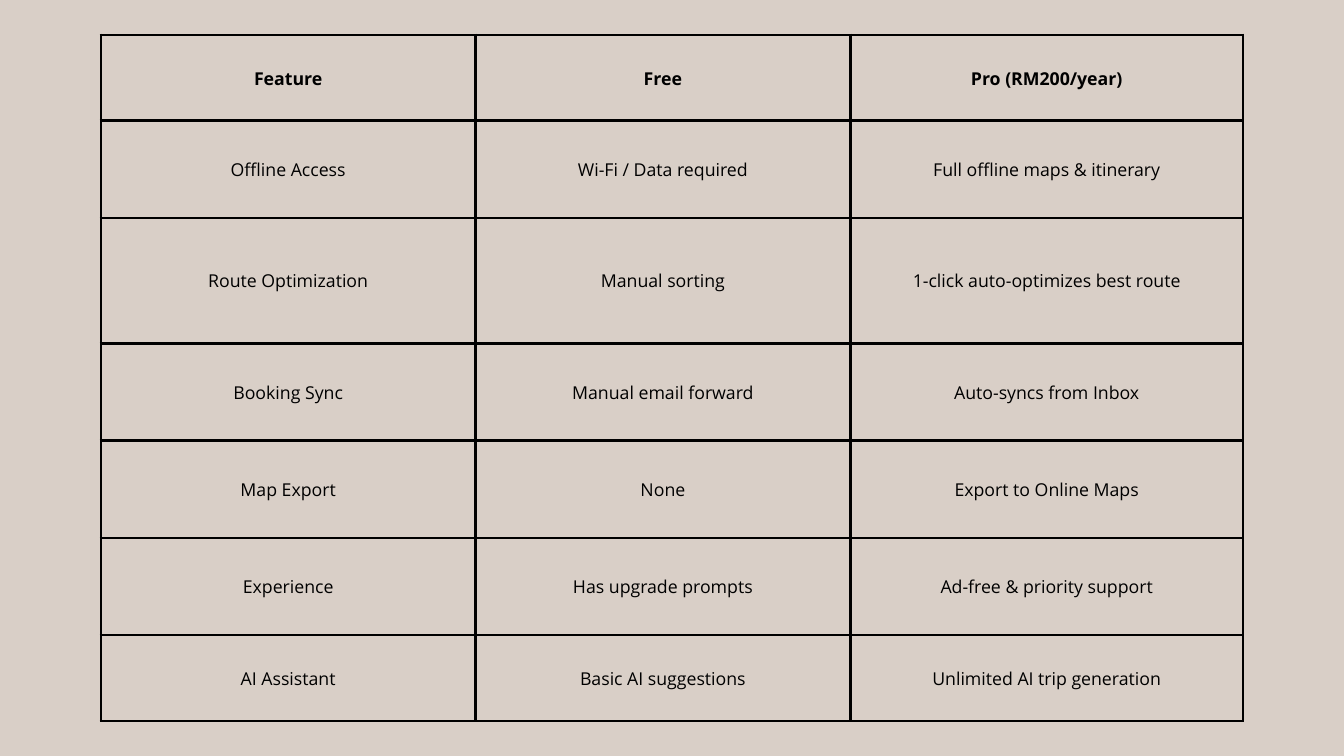
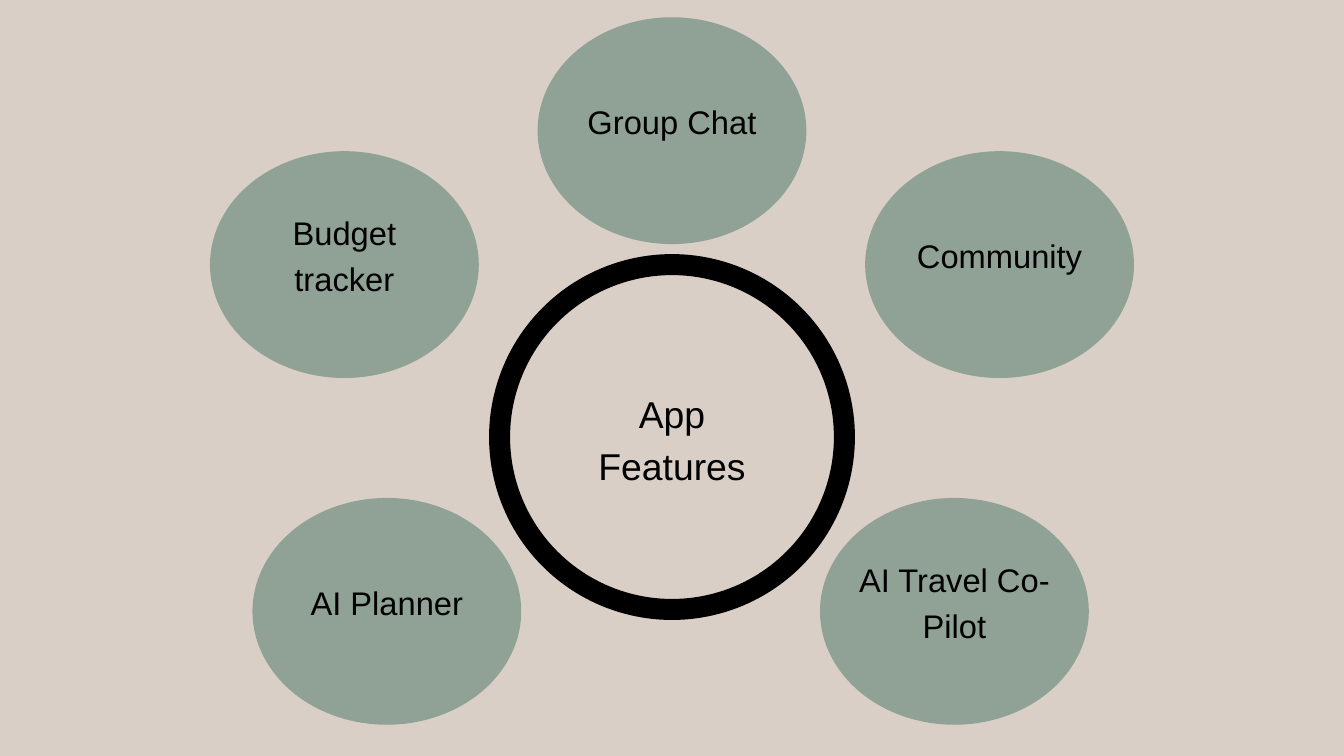
import dataclasses
import typing

import lxml.etree
import pptx
import pptx.dml.color
import pptx.enum.shapes
import pptx.enum.text
import pptx.oxml.ns
import pptx.util

Pt = pptx.util.Pt
MIDDLE = pptx.enum.text.MSO_ANCHOR.MIDDLE

SAND, SAGE, BLACK = "D9CFC7", "90A295", "000000"
PAGE_WIDTH, PAGE_HEIGHT = 1440, 810
CENTRE = PAGE_WIDTH / 2


@dataclasses.dataclass(frozen=True)
class TextStyle:
    font: dict[str, typing.Any]
    line_spacing: float


@dataclasses.dataclass(frozen=True)
class Bubble:
    label: str
    offset: float  # oval centre, measured from the middle of the page
    top: float


HEADER = TextStyle({"name": "Open Sans", "size": Pt(19), "bold": True}, 26.6)
BODY = TextStyle({**HEADER.font, "bold": False}, 26.6)
HUB_TEXT = TextStyle({"name": "Arial", "size": Pt(40)}, 56)
BUBBLE_TEXT = TextStyle({"name": "Arial", "size": Pt(35)}, 49)

PLANS = [
    ("Feature", "Free", "Pro (RM200/year)"),
    ("Offline Access", "Wi-Fi / Data required", "Full offline maps & itinerary"),
    ("Route Optimization", "Manual sorting", "1-click auto-optimizes best route"),
    ("Booking Sync", "Manual email forward", "Auto-syncs from Inbox"),
    ("Map Export", "None", "Export to Online Maps"),
    ("Experience", "Has upgrade prompts", "Ad-free & priority support"),
    ("AI Assistant", "Basic AI suggestions", "Unlimited AI trip generation"),
]
COLUMN_WIDTHS = [401.5, 401.5, 421]
ROW_HEIGHTS = [92, 104.2, 134.5, 104.2, 104.2, 104.2, 92]

BUBBLES = [
    Bubble("Community", 351, 162),
    Bubble("Group Chat", 0, 18.5),
    Bubble("Budget tracker", -351, 162),
    Bubble("AI Travel Co-Pilot", 302.6, 533.5),
    Bubble("AI Planner", -305.5, 533.5),
]
BUBBLE_WIDTH, BUBBLE_HEIGHT = 288, 243
LABEL_WIDTH, LABEL_HEIGHT, LABEL_RISE = 234, 223, 3
HUB_SIZE, HUB_TOP = 369.5, 283.5
HUB_LABEL_WIDTH = 213


def colour(value: str) -> pptx.dml.color.RGBColor:
    return pptx.dml.color.RGBColor.from_string(value)


def set_values(target: typing.Any, values: dict[str, typing.Any]) -> None:
    for name, value in values.items():
        setattr(target, name, value)


def write(frame: typing.Any, text: str, style: TextStyle) -> None:
    para = frame.paragraphs[0]
    para.alignment = pptx.enum.text.PP_ALIGN.CENTER
    para.line_spacing = Pt(style.line_spacing)
    span = para.add_run()
    span.text = text
    set_values(span.font, style.font)
    span.font.color.rgb = colour(BLACK)


def add_page(deck: typing.Any) -> typing.Any:
    page = deck.slides.add_slide(deck.slide_layouts[6])
    page.background.fill.solid()
    page.background.fill.fore_color.rgb = colour(SAND)
    return page


def add_oval(shapes: typing.Any, left: float, top: float, width: float, height: float,
             fill: str, line_width: float = 0) -> None:
    oval = shapes.add_shape(pptx.enum.shapes.MSO_SHAPE.OVAL,
                            Pt(left), Pt(top), Pt(width), Pt(height))
    oval.shadow.inherit = False
    oval.fill.solid()
    oval.fill.fore_color.rgb = colour(fill)
    if line_width:
        oval.line.color.rgb = colour(BLACK)
        oval.line.width = Pt(line_width)
    else:
        oval.line.fill.background()


def add_label(shapes: typing.Any, left: float, top: float, width: float, height: float,
              text: str, style: TextStyle, margin: float = 0,
              anchor: typing.Any = pptx.enum.text.MSO_ANCHOR.TOP) -> None:
    box = shapes.add_textbox(Pt(left), Pt(top), Pt(width), Pt(height))
    sides = ("left", "top", "right", "bottom")
    set_values(box.text_frame, {f"margin_{side}": Pt(margin) for side in sides})
    set_values(box.text_frame, {"word_wrap": True, "vertical_anchor": anchor})
    write(box.text_frame, text, style)


def add_borders(cell: typing.Any, width: float) -> None:
    properties = cell._tc.get_or_add_tcPr()
    qn = pptx.oxml.ns.qn
    for side in ("lnL", "lnR", "lnT", "lnB"):
        border = lxml.etree.SubElement(properties, qn(f"a:{side}"), w=str(Pt(width)))
        fill = lxml.etree.SubElement(border, qn("a:solidFill"))
        lxml.etree.SubElement(fill, qn("a:srgbClr"), val=BLACK)


def add_bubble(page: typing.Any, bubble: Bubble) -> None:
    shapes = page.shapes.add_group_shape().shapes
    middle = CENTRE + bubble.offset
    add_oval(shapes, middle - BUBBLE_WIDTH / 2, bubble.top,
             BUBBLE_WIDTH, BUBBLE_HEIGHT, SAGE)
    add_label(shapes, middle - LABEL_WIDTH / 2, bubble.top - LABEL_RISE,
              LABEL_WIDTH, LABEL_HEIGHT, bubble.label, BUBBLE_TEXT, 4.3, MIDDLE)


def build_plans(deck: typing.Any) -> None:
    page = add_page(deck)
    width, height = sum(COLUMN_WIDTHS), sum(ROW_HEIGHTS)
    table = page.shapes.add_table(
        len(PLANS), len(COLUMN_WIDTHS), Pt((PAGE_WIDTH - width) / 2),
        Pt((PAGE_HEIGHT - height) / 2), Pt(width), Pt(height)).table
    set_values(table, {"first_row": False, "horz_banding": False})
    for column, column_width in zip(table.columns, COLUMN_WIDTHS):
        column.width = Pt(column_width)
    for index, (row, texts) in enumerate(zip(table.rows, PLANS)):
        row.height = Pt(ROW_HEIGHTS[index])
        for cell, text in zip(row.cells, texts):
            set_values(cell, {f"margin_{side}": Pt(15)
                              for side in ("left", "top", "right", "bottom")})
            cell.vertical_anchor = MIDDLE
            add_borders(cell, 3)
            cell.fill.background()
            write(cell.text_frame, text, BODY if index else HEADER)


def build_features(deck: typing.Any) -> None:
    page = add_page(deck)
    # Central ring
    add_oval(page.shapes, CENTRE - HUB_SIZE / 2, HUB_TOP, HUB_SIZE, HUB_SIZE, SAND, 22.5)
    add_label(page.shapes, CENTRE - HUB_LABEL_WIDTH / 2, 411, HUB_LABEL_WIDTH, 109,
              "App Features", HUB_TEXT)
    # Features around it
    for bubble in BUBBLES:
        add_bubble(page, bubble)


def main() -> None:
    deck = pptx.Presentation()
    set_values(deck, {"slide_width": Pt(PAGE_WIDTH), "slide_height": Pt(PAGE_HEIGHT)})
    build_plans(deck)
    build_features(deck)
    deck.save("out.pptx")


if __name__ == "__main__":
    main()
